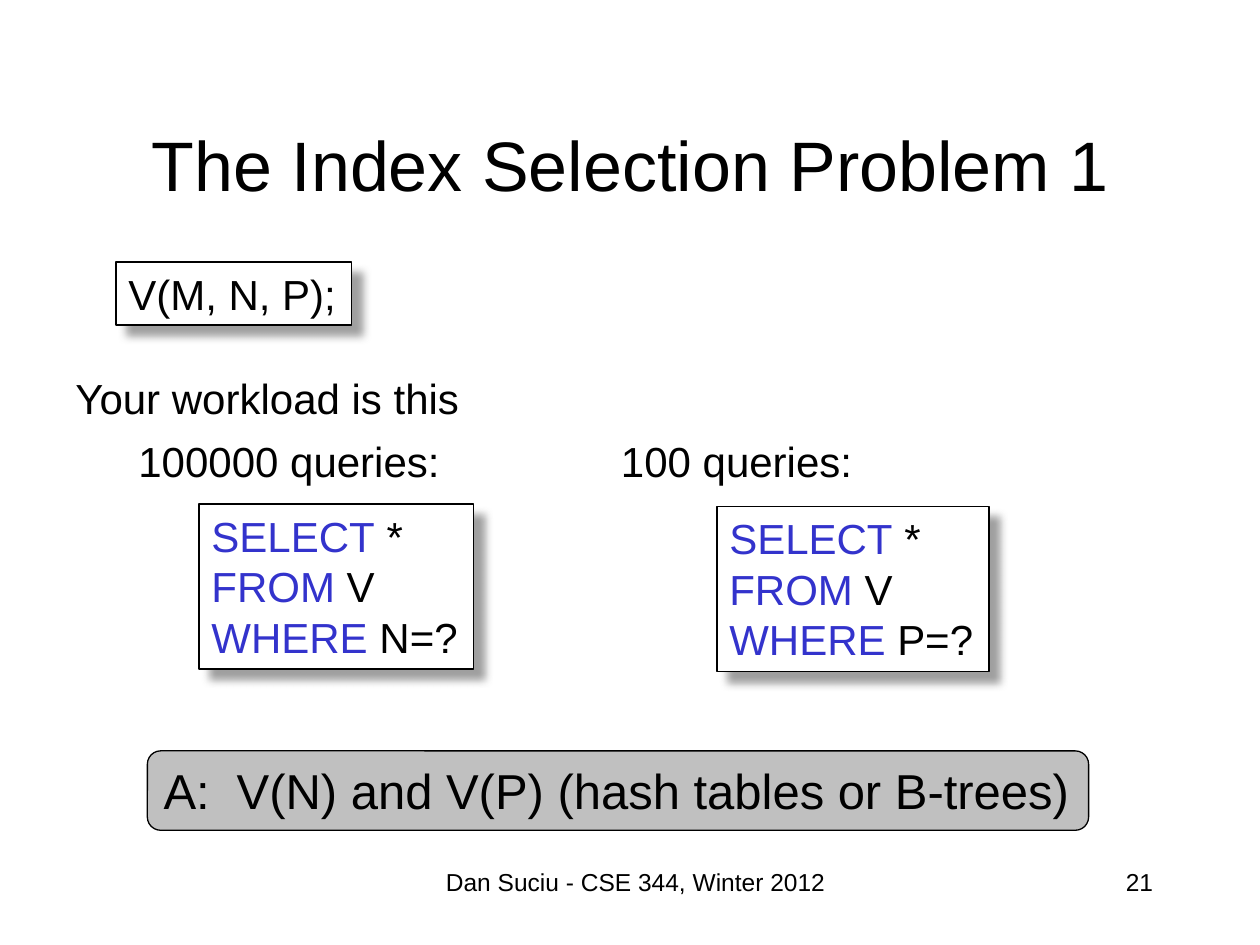
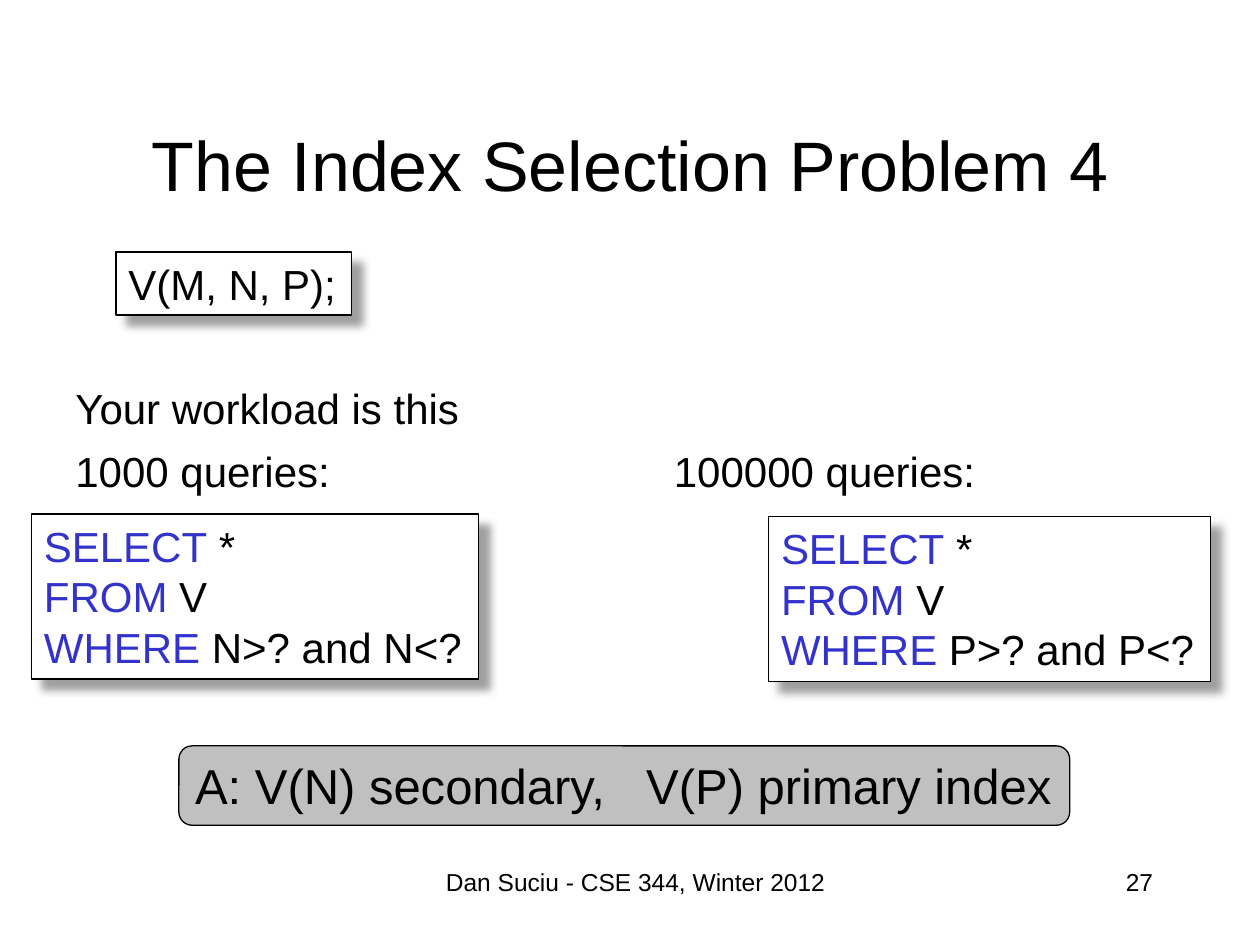
from lxml.etree import SubElement
from pptx import Presentation
from pptx.dml.color import RGBColor
from pptx.enum.shapes import MSO_SHAPE as Preset
from pptx.enum.text import MSO_ANCHOR as Anchor, PP_ALIGN as Align
from pptx.oxml.ns import qn
from pptx.util import Inches, Pt

BLACK = RGBColor(0x00, 0x00, 0x00)
WHITE = RGBColor(0xFF, 0xFF, 0xFF)
KEYWORD_BLUE = RGBColor(0x33, 0x33, 0xCC)
ANSWER_GRAY = RGBColor(0xC0, 0xC0, 0xC0)
SHADOW_GRAY = RGBColor(0x80, 0x80, 0x80)
FONT = "Arial"
LINE_HEIGHT = 0.5
QUERY_HEIGHT = 1.31
FOOTER_TOP = 6.83

PROBLEMS = [
    dict(title="The Index Selection Problem 1", number="21",
         schema_top=2.08, workload_top=2.91,
         queries=[("100000 queries:", (1, 2.62), "N=?", (1.58, 4, 2.18)),
                  ("100 queries:", (4.83, 2.05), "P=?", (5.69, 4.02, 2.16))],
         answer="A:\tV(N) and V(P) (hash tables or B-trees)",
         answer_box=(1.17, 5.96, 7.47, 0.63), answer_tab=0.58),
    dict(title="The Index Selection Problem 4", number="27",
         schema_top=2, workload_top=2.99,
         queries=[("1000 queries:", (0.5, 2.24), "N>? and N<?", (0.25, 4.08, 3.55)),
                  ("100000 queries:", (5.25, 2.62), "P>? and P<?", (6.1, 4.1, 3.51))],
         answer="A: V(N) secondary,\tV(P) primary index",
         answer_box=(1.42, 5.92, 7.07, 0.63), answer_tab=3.58),
]


def write(shape, lines, size=24, align=Align.LEFT, anchor=Anchor.TOP, wrap=False, tab=None):
    """Fill a shape with lines, each a string or a list of (text, colour) spans."""
    frame = shape.text_frame
    frame.word_wrap = wrap
    frame.vertical_anchor = anchor
    for index, line in enumerate(lines):
        para = frame.add_paragraph() if index else frame.paragraphs[0]
        para.alignment = align
        if tab is not None:
            stops = SubElement(para._p.get_or_add_pPr(), qn("a:tabLst"))
            SubElement(stops, qn("a:tab"), pos=str(Inches(tab)), algn="l")
        for text, color in [(line, BLACK)] if isinstance(line, str) else line:
            span = para.add_run()
            span.text = text
            span.font.name = FONT
            span.font.size = Pt(size)
            span.font.color.rgb = color


def add_text(page, box, text, **style):
    """Add a plain text box."""
    write(page.shapes.add_textbox(*map(Inches, box)), [text], **style)


def add_panel(page, box, lines, preset=Preset.RECTANGLE, fill=WHITE, **style):
    """Add an outlined, filled panel holding text."""
    panel = page.shapes.add_shape(preset, *map(Inches, box))
    panel.shadow.inherit = False
    panel.fill.solid()
    panel.fill.fore_color.rgb = fill
    panel.line.color.rgb = BLACK
    panel.line.width = Pt(0.75)
    write(panel, lines, **style)
    return panel


def add_code_panel(page, box, lines):
    """Add a white panel that casts a soft shadow to the lower right."""
    panel = add_panel(page, box, lines)
    effects = panel._element.spPr.find(qn("a:effectLst"))
    shadow = SubElement(effects, qn("a:outerShdw"), blurRad=str(Pt(5)), dist=str(Pt(8.5)),
                        dir=str(45 * 60000), algn="tl", rotWithShape="0")
    color = SubElement(shadow, qn("a:srgbClr"), val=str(SHADOW_GRAY))
    SubElement(color, qn("a:alpha"), val="75000")


def add_query(page, label, label_box, condition, code_box, top):
    """Add a query count and the panel with its SQL."""
    left, width = label_box
    add_text(page, (left, top, width, LINE_HEIGHT), label)
    clauses = [("SELECT", " *"), ("FROM", " V"), ("WHERE", f" {condition}")]
    lines = [[(keyword, KEYWORD_BLUE), (rest, BLACK)] for keyword, rest in clauses]
    add_code_panel(page, (*code_box, QUERY_HEIGHT), lines)


def add_frame(page, title, number):
    """Add the title, footer and page number shared by all slides."""
    add_text(page, (0.75, 0.67, 8.5, 1.25), title, size=40, align=Align.CENTER,
             anchor=Anchor.MIDDLE, wrap=True)
    add_text(page, (3.17, FOOTER_TOP, 3.75, 0.5), "Dan Suciu - CSE 344, Winter 2012",
             size=14, align=Align.CENTER, wrap=True)
    add_text(page, (7.17, FOOTER_TOP, 2.08, 0.5), number, size=14, align=Align.RIGHT, wrap=True)


def add_problem(deck, title, number, schema_top, workload_top, queries,
                answer, answer_box, answer_tab):
    """Add one index selection slide."""
    page = deck.slides.add_slide(deck.slide_layouts[6])
    add_frame(page, title, number)
    add_code_panel(page, (0.92, schema_top, 1.87, LINE_HEIGHT), ["V(M, N, P);"])
    add_text(page, (0.5, workload_top, 3.28, LINE_HEIGHT), "Your workload is this")
    for query in queries:
        add_query(page, *query, top=workload_top + LINE_HEIGHT)
    add_panel(page, answer_box, [answer], preset=Preset.ROUNDED_RECTANGLE,
              fill=ANSWER_GRAY, size=28, tab=answer_tab)


def main():
    """Build and save the deck."""
    deck = Presentation()
    deck.slide_width, deck.slide_height = Inches(10), Inches(7.5)
    for problem in PROBLEMS:
        add_problem(deck, **problem)
    deck.save("out.pptx")


if __name__ == "__main__":
    main()
